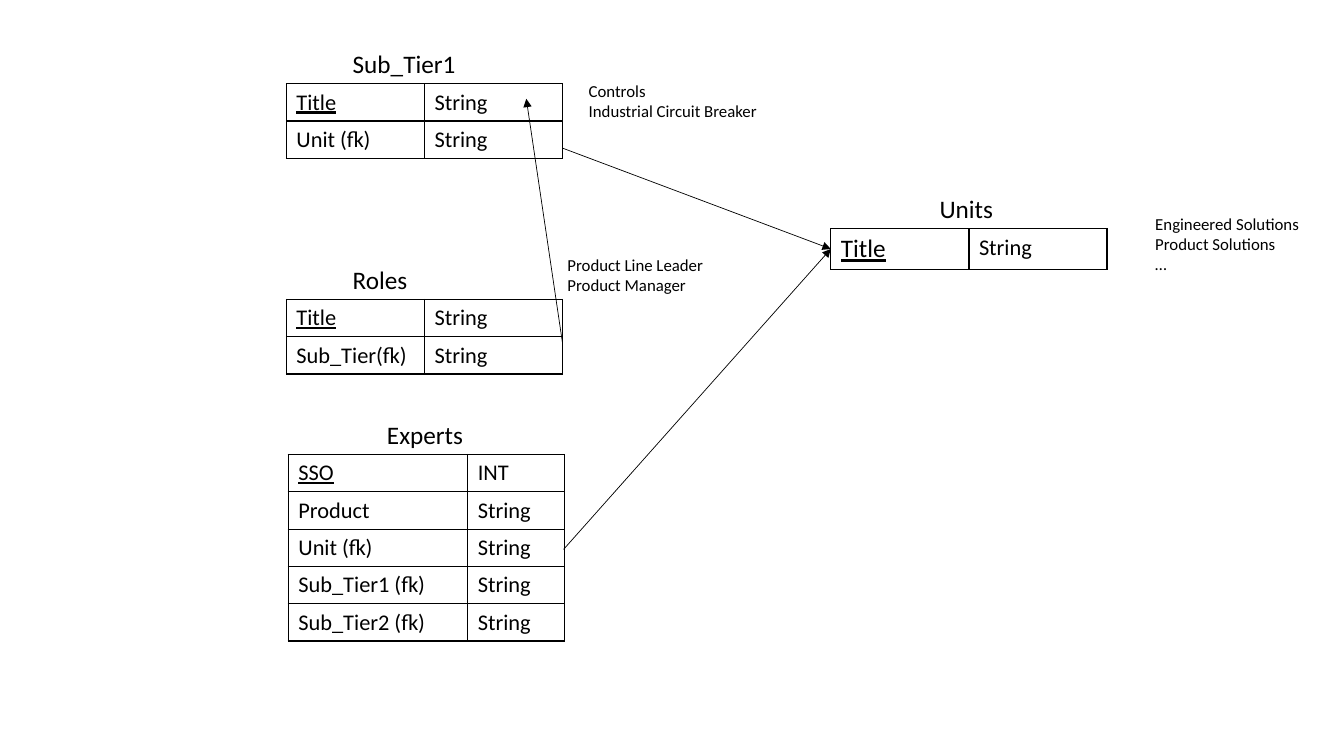
"""Build a slide with a database schema: four entity tables, their links and sample values."""
from lxml import etree
from pptx import Presentation
from pptx.dml.color import RGBColor
from pptx.enum import shapes, text
from pptx.oxml import ns
from pptx.util import Inches, Pt

BLACK = RGBColor(0x00, 0x00, 0x00)
FONT = "Calibri"


def write(paragraph, wording, size, underline=False):
    run = paragraph.add_run()
    run.text = wording
    style = {"name": FONT, "size": Pt(size), "underline": underline}
    for attribute, value in style.items():
        setattr(run.font, attribute, value)
    run.font.color.rgb = BLACK


def add_label(left, top, width, height, lines, size):
    label = slide.shapes.add_textbox(Inches(left), Inches(top), Inches(width), Inches(height))
    frame = label.text_frame
    frame.word_wrap = False
    frame.auto_size = text.MSO_AUTO_SIZE.SHAPE_TO_FIT_TEXT
    for number, line in enumerate(lines):
        paragraph = frame.add_paragraph() if number else frame.paragraphs[0]
        write(paragraph, line, size)


deck = Presentation()
deck.slide_width, deck.slide_height = Inches(13.33), Inches(7.5)
slide = deck.slides.add_slide(deck.slide_layouts[6])

entities = [
    ("Experts", 3.74, 0.96, 2.86, 4.51, (1.78, 0.96), 0.37, 16,
     [("SSO", "INT"), ("Product", "String"), ("Unit (fk)", "String"),
      ("Sub_Tier1 (fk)", "String"), ("Sub_Tier2 (fk)", "String")]),
    ("Units", 9.22, 0.74, 8.24, 2.27, (1.37, 1.37), 0.4, 18,
     [("Title", "String")]),
    ("Sub_Tier1", 3.4, 1.23, 2.84, 0.83, (1.37, 1.37), 0.37, 16,
     [("Title", "String"), ("Unit (fk)", "String")]),
    ("Roles", 3.4, 0.75, 2.84, 2.97, (1.37, 1.37), 0.37, 16,
     [("Title", "String"), ("Sub_Tier(fk)", "String")]),
]
frames = {}
for name, name_left, name_width, left, top, widths, row_height, key_size, fields in entities:
    add_label(name_left, top - 0.4, name_width, 0.4, [name], 18)
    frames[name] = slide.shapes.add_table(
        len(fields), 2, Inches(left), Inches(top),
        Inches(sum(widths)), Inches(row_height * len(fields)))
    table = frames[name].table
    table.first_row = table.horz_banding = False
    for column, width in zip(table.columns, widths):
        column.width = Inches(width)
    for row, field in enumerate(fields):
        for column, wording in enumerate(field):
            cell = table.cell(row, column)
            is_key = row == column == 0
            write(cell.text_frame.paragraphs[0], wording, key_size if is_key else 16, is_key)
            properties = cell._tc.get_or_add_tcPr()
            for side in ("a:lnL", "a:lnR", "a:lnT", "a:lnB"):
                border = etree.SubElement(properties, ns.qn(side), w=str(Pt(1)))
                border_fill = etree.SubElement(border, ns.qn("a:solidFill"))
                etree.SubElement(border_fill, ns.qn("a:srgbClr"), val=str(BLACK))
            cell.fill.background()

links = [
    ((5.58, 1.47), (8.24, 2.47), "Units"),
    ((5.58, 3.41), (5.22, 0.98), None),
    ((5.59, 5.45), (8.24, 2.47), "Units"),
]
for start, end, target in links:
    link = slide.shapes.add_connector(
        shapes.MSO_CONNECTOR.STRAIGHT, *map(Inches, start + end))
    if target:
        link.end_connect(frames[target], 1)
    link.line.color.rgb = BLACK
    link.line.width = Pt(0.5)
    etree.SubElement(link.line._get_or_add_ln(), ns.qn("a:tailEnd"), type="triangle")
    etree.SubElement(link._element.spPr, ns.qn("a:effectLst"))

samples = [
    (11.36, 2.07, 1.64, 0.71, ["Engineered Solutions", "Product Solutions", "…"]),
    (5.74, 0.75, 1.88, 0.5, ["Controls", "Industrial Circuit Breaker"]),
    (5.53, 2.48, 1.56, 0.5, ["Product Line Leader", "Product Manager"]),
]
for sample in samples:
    add_label(*sample, 12)

deck.save("out.pptx")
